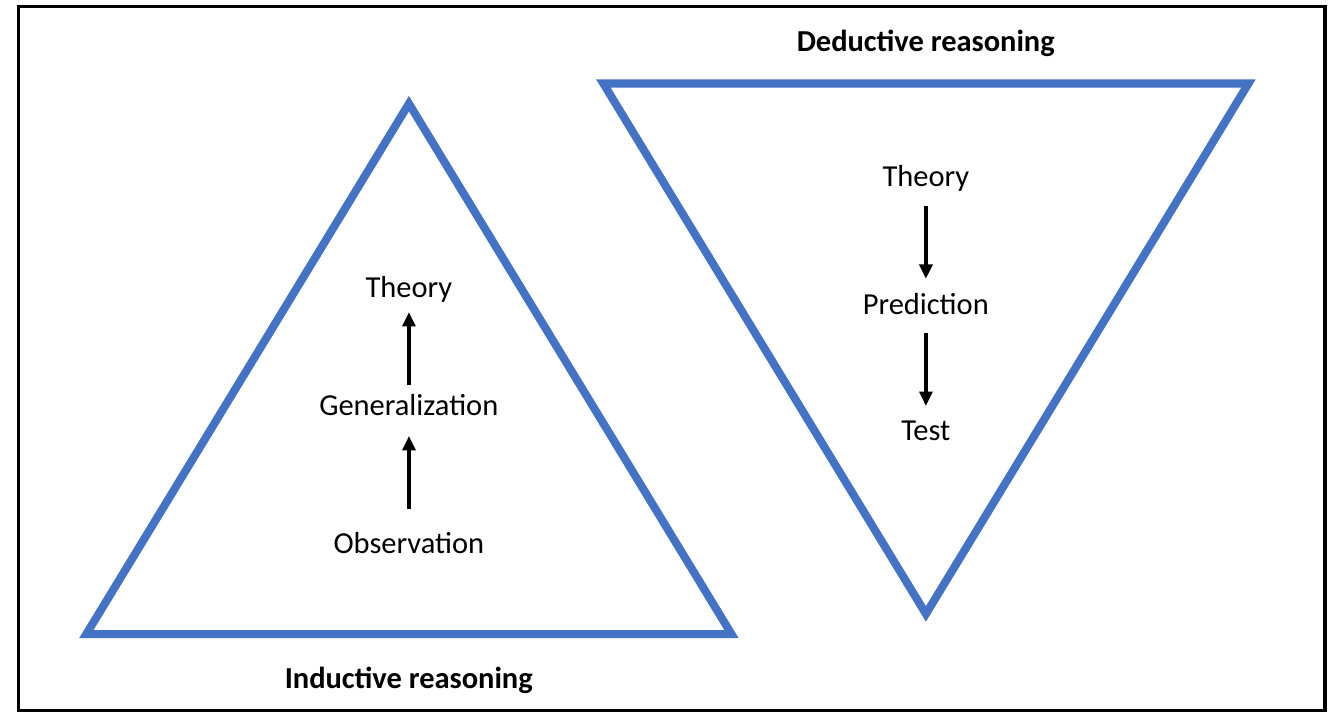
from pptx import Presentation
from pptx.dml.color import RGBColor
from pptx.enum import shapes, text
from pptx.oxml.ns import qn
from pptx.util import Cm, Pt
from lxml import etree

BLACK = RGBColor(0x00, 0x00, 0x00)
WHITE = RGBColor(0xFF, 0xFF, 0xFF)
BLUE = RGBColor(0x44, 0x72, 0xC4)

TRIANGLE_WIDTH, TRIANGLE_HEIGHT = 13.44, 11.05
LABEL_WIDTH, LABEL_HEIGHT = 6.58, 1.02
ARROW_LENGTH = 1.51
COMPARISON_LAYOUT = 4


def style_line(shape, color, width):
    shape.line.color.rgb = color
    shape.line.width = Pt(width)
    line = shape.line._get_or_add_ln()
    etree.SubElement(line, qn("a:miter"), lim="800000")
    return line


def add_triangle(slide, center, top, rotation):
    triangle = slide.shapes.add_shape(
        shapes.MSO_SHAPE.ISOSCELES_TRIANGLE, Cm(center - TRIANGLE_WIDTH / 2),
        Cm(top), Cm(TRIANGLE_WIDTH), Cm(TRIANGLE_HEIGHT))
    triangle.rotation = rotation
    triangle.shadow.inherit = False
    triangle.fill.solid()
    triangle.fill.fore_color.rgb = WHITE
    style_line(triangle, BLUE, 4.75)


def set_label(shape, center, top, wording, bold=False):
    shape.left, shape.top = Cm(center - LABEL_WIDTH / 2), Cm(top)
    shape.width, shape.height = Cm(LABEL_WIDTH), Cm(LABEL_HEIGHT)
    frame = shape.text_frame
    frame.text = wording
    frame.word_wrap = True
    frame.auto_size = text.MSO_AUTO_SIZE.SHAPE_TO_FIT_TEXT
    frame.vertical_anchor = text.MSO_ANCHOR.TOP
    paragraph = frame.paragraphs[0]
    paragraph.alignment = text.PP_ALIGN.CENTER
    paragraph.space_before = Pt(0)
    paragraph.font.name = "Calibri"
    paragraph.font.size = Pt(18)
    paragraph.font.bold = bold
    paragraph.font.color.rgb = BLACK


def add_label(slide, center, top, wording):
    label = slide.shapes.add_textbox(0, 0, Cm(LABEL_WIDTH), Cm(LABEL_HEIGHT))
    set_label(label, center, top, wording)


def add_arrow(slide, center, start, direction):
    end = start + direction * ARROW_LENGTH
    arrow = slide.shapes.add_connector(
        shapes.MSO_CONNECTOR.STRAIGHT, Cm(center), Cm(start), Cm(center), Cm(end))
    line = style_line(arrow, BLACK, 2.75)
    etree.SubElement(line, qn("a:tailEnd"), type="triangle")
    etree.SubElement(arrow._element.spPr, qn("a:effectLst"))


def add_frame(slide):
    frame = slide.shapes.add_shape(
        shapes.MSO_SHAPE.RECTANGLE, Cm(0.39), Cm(0.14), Cm(27.22), Cm(14.67))
    frame.shadow.inherit = False
    frame.fill.background()
    style_line(frame, BLACK, 2)


def add_reasoning(slide, heading, title, center, title_top, triangle_top,
                  rotation, steps, arrow_starts, direction):
    add_triangle(slide, center, triangle_top, rotation)
    set_label(heading, center, title_top, title, bold=True)
    for wording, top in steps:
        add_label(slide, center, top, wording)
    for start in arrow_starts:
        add_arrow(slide, center, start, direction)


def main():
    presentation = Presentation()
    presentation.slide_width, presentation.slide_height = Cm(28), Cm(15)
    slide = presentation.slides.add_slide(
        presentation.slide_layouts[COMPARISON_LAYOUT])

    # Keep only the two heading placeholders
    placeholders = {item.placeholder_format.idx: item for item in slide.placeholders}
    inductive_heading, deductive_heading = placeholders.pop(1), placeholders.pop(3)
    for unused in placeholders.values():
        unused._element.getparent().remove(unused._element)

    # Inductive: from observation up to theory
    add_reasoning(
        slide, inductive_heading, "Inductive reasoning", center=8.52,
        title_top=13.58, triangle_top=2.16, rotation=0,
        steps=[("Observation", 10.77), ("Generalization", 7.9), ("Theory", 5.44)],
        arrow_starts=[10.6, 8.02], direction=-1)

    # Deductive: from theory down to test
    add_reasoning(
        slide, deductive_heading, "Deductive reasoning", center=19.29,
        title_top=0.32, triangle_top=1.74, rotation=180,
        steps=[("Theory", 3.12), ("Prediction", 5.79), ("Test", 8.41)],
        arrow_starts=[4.29, 6.94], direction=1)

    # Border around the slide
    add_frame(slide)
    presentation.save("out.pptx")


if __name__ == "__main__":
    main()
